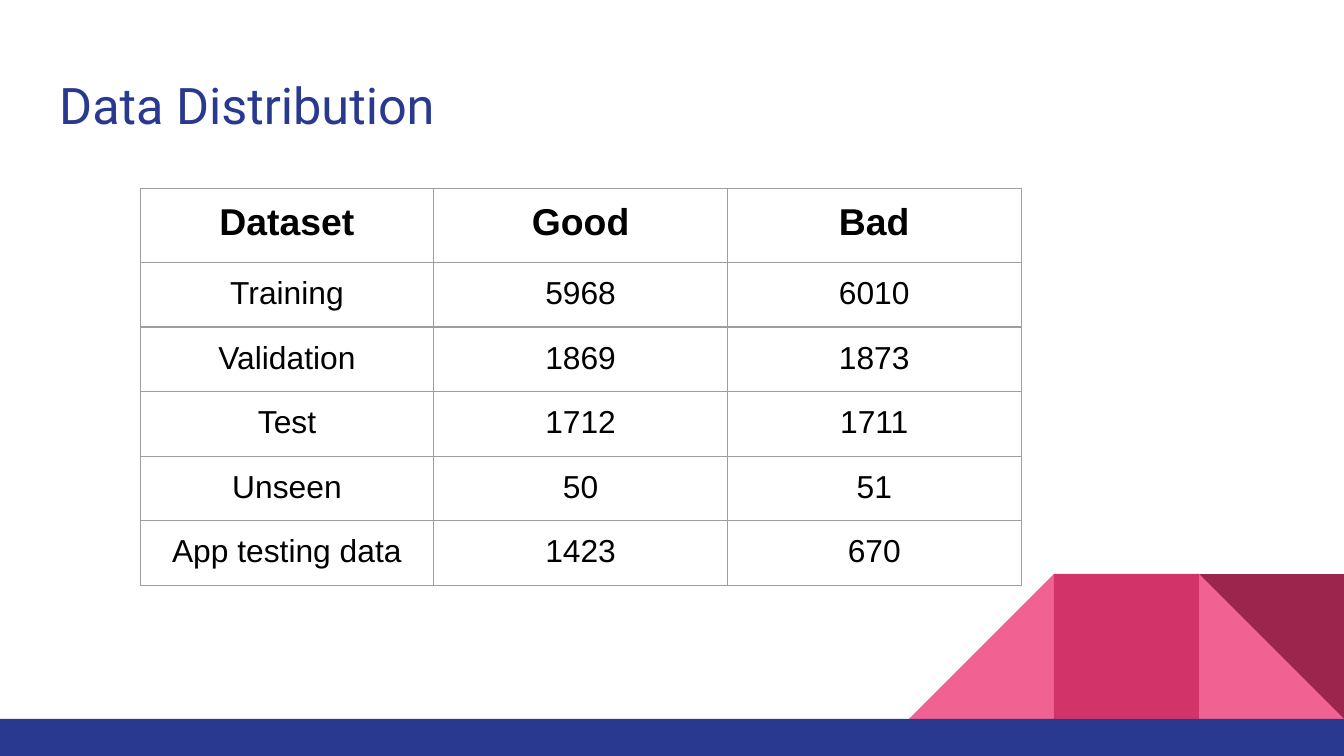
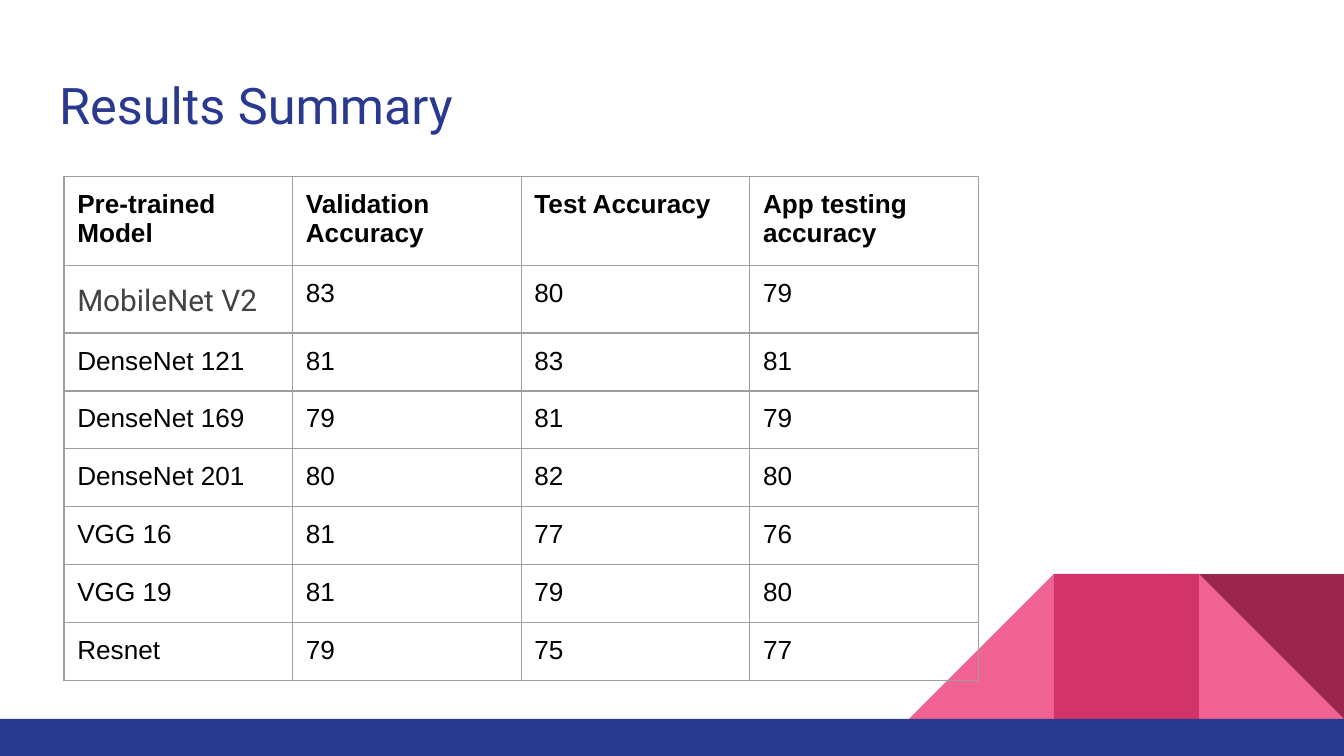
from lxml import etree
from pptx import Presentation
from pptx.dml.color import RGBColor
from pptx.enum.shapes import MSO_SHAPE
from pptx.enum.text import MSO_ANCHOR, PP_ALIGN
from pptx.oxml.ns import qn
from pptx.util import Cm, Pt

RECTANGLE = MSO_SHAPE.RECTANGLE
TRIANGLE = MSO_SHAPE.RIGHT_TRIANGLE
LEFT, CENTER = PP_ALIGN.LEFT, PP_ALIGN.CENTER
MIDDLE = MSO_ANCHOR.MIDDLE

# Content
PAGES = [
    {
        "title": "Data Distribution",
        "rows": [
            ("Dataset", "Good", "Bad"),
            ("Training", "5968", "6010"),
            ("Validation", "1869", "1873"),
            ("Test", "1712", "1711"),
            ("Unseen", "50", "51"),
            ("App testing data", "1423", "670"),
        ],
        "left": 2.65, "top": 3.56, "column": 5.55,
        "header_height": 1.4, "row_height": 1.2,
        "header_size": 20, "size": 17, "align": CENTER,
        "special": {},
    },
    {
        "title": "Results Summary",
        "rows": [
            ("Pre-trained Model", "Validation Accuracy", "Test Accuracy",
             "App testing accuracy"),
            ("MobileNet V2", "83", "80", "79"),
            ("DenseNet 121", "81", "83", "81"),
            ("DenseNet 169", "79", "81", "79"),
            ("DenseNet 201", "80", "82", "80"),
            ("VGG 16", "81", "77", "76"),
            ("VGG 19", "81", "79", "80"),
            ("Resnet", "79", "75", "77"),
        ],
        "left": 1.21, "top": 3.33, "column": 4.32,
        "header_height": 1.06, "row_height": 1.06,
        "header_size": 14, "size": 14, "align": LEFT,
        "special": {"MobileNet V2": {"size": 16, "font": "Roboto",
                                     "color": "gray", "spacing": 1.15}},
    },
]

# Shared style
COLORS = {"blue": "2A3990", "pink": "F06292", "rose": "D23369",
          "wine": "9C254D", "black": "000000", "gray": "434343",
          "border": "9E9E9E"}
WIDTH, HEIGHT = 25.4, 14.29
BAND_TOP = 13.59
TILE = 2.74
INSET = Cm(0.25)


def rgb(name):
    return RGBColor.from_string(COLORS[name])


def write(frame, text, size, font="Arial", color="black", bold=False,
          align=LEFT, spacing=None):
    para = frame.paragraphs[0]
    para.alignment = align
    if spacing:
        para.line_spacing = spacing
    span = para.add_run()
    span.text = text
    span.font.name = font
    span.font.size = Pt(size)
    span.font.bold = bold
    span.font.color.rgb = rgb(color)


def set_insets(target):
    target.margin_left = target.margin_right = INSET
    target.margin_top = target.margin_bottom = INSET


def add_block(page, kind, left, top, width, height, color):
    shape = page.shapes.add_shape(kind, Cm(left), Cm(top), Cm(width), Cm(height))
    shape.shadow.inherit = False
    shape.fill.solid()
    shape.fill.fore_color.rgb = rgb(color)
    shape.line.fill.background()
    return shape


def add_decoration(page):
    # Three square tiles at the right edge, standing on the bottom band
    top = BAND_TOP - TILE
    third, second, first = [WIDTH - count * TILE for count in (1, 2, 3)]
    add_block(page, TRIANGLE, third, top, TILE, TILE, "pink")
    slope = add_block(page, TRIANGLE, first, top, TILE, TILE, "pink")
    slope._element.spPr.find(qn("a:xfrm")).set("flipH", "1")
    add_block(page, RECTANGLE, second, top, TILE, TILE, "rose")
    add_block(page, TRIANGLE, third, top, TILE, TILE, "wine").rotation = 180
    add_block(page, RECTANGLE, 0, BAND_TOP, WIDTH, HEIGHT - BAND_TOP, "blue")


def add_title(page, text):
    box = page.shapes.add_textbox(Cm(0.87), Cm(1.14), Cm(23.67), Cm(1.68))
    frame = box.text_frame
    frame.word_wrap = True
    frame.vertical_anchor = MIDDLE
    set_insets(frame)
    write(frame, text, 27, font="Roboto", color="blue")


def add_borders(cell):
    properties = cell._tc.get_or_add_tcPr()
    for position, side in enumerate(("a:lnL", "a:lnR", "a:lnT", "a:lnB")):
        line = etree.Element(qn(side), w=str(Pt(0.75)))
        fill = etree.SubElement(line, qn("a:solidFill"))
        etree.SubElement(fill, qn("a:srgbClr"), val=COLORS["border"])
        properties.insert(position, line)


def add_grid(page, content):
    rows = content["rows"]
    columns = len(rows[0])
    heights = [content["header_height"]] + [content["row_height"]] * (len(rows) - 1)
    table = page.shapes.add_table(
        len(rows), columns, Cm(content["left"]), Cm(content["top"]),
        Cm(columns * content["column"]), Cm(sum(heights))).table
    table.first_row = table.horz_banding = False
    for row, height in zip(table.rows, heights):
        row.height = Cm(height)
    for row_index, values in enumerate(rows):
        header = row_index == 0
        for column_index, text in enumerate(values):
            cell = table.cell(row_index, column_index)
            cell.fill.background()
            add_borders(cell)
            set_insets(cell)
            style = {"size": content["header_size" if header else "size"],
                     "bold": header, "align": content["align"]}
            style.update(content["special"].get(text, {}))
            write(cell.text_frame, text, **style)


def main():
    deck = Presentation()
    deck.slide_width, deck.slide_height = Cm(WIDTH), Cm(HEIGHT)
    for content in PAGES:
        page = deck.slides.add_slide(deck.slide_layouts[6])
        add_decoration(page)
        add_title(page, content["title"])
        add_grid(page, content)
    deck.save("out.pptx")


if __name__ == "__main__":
    main()
